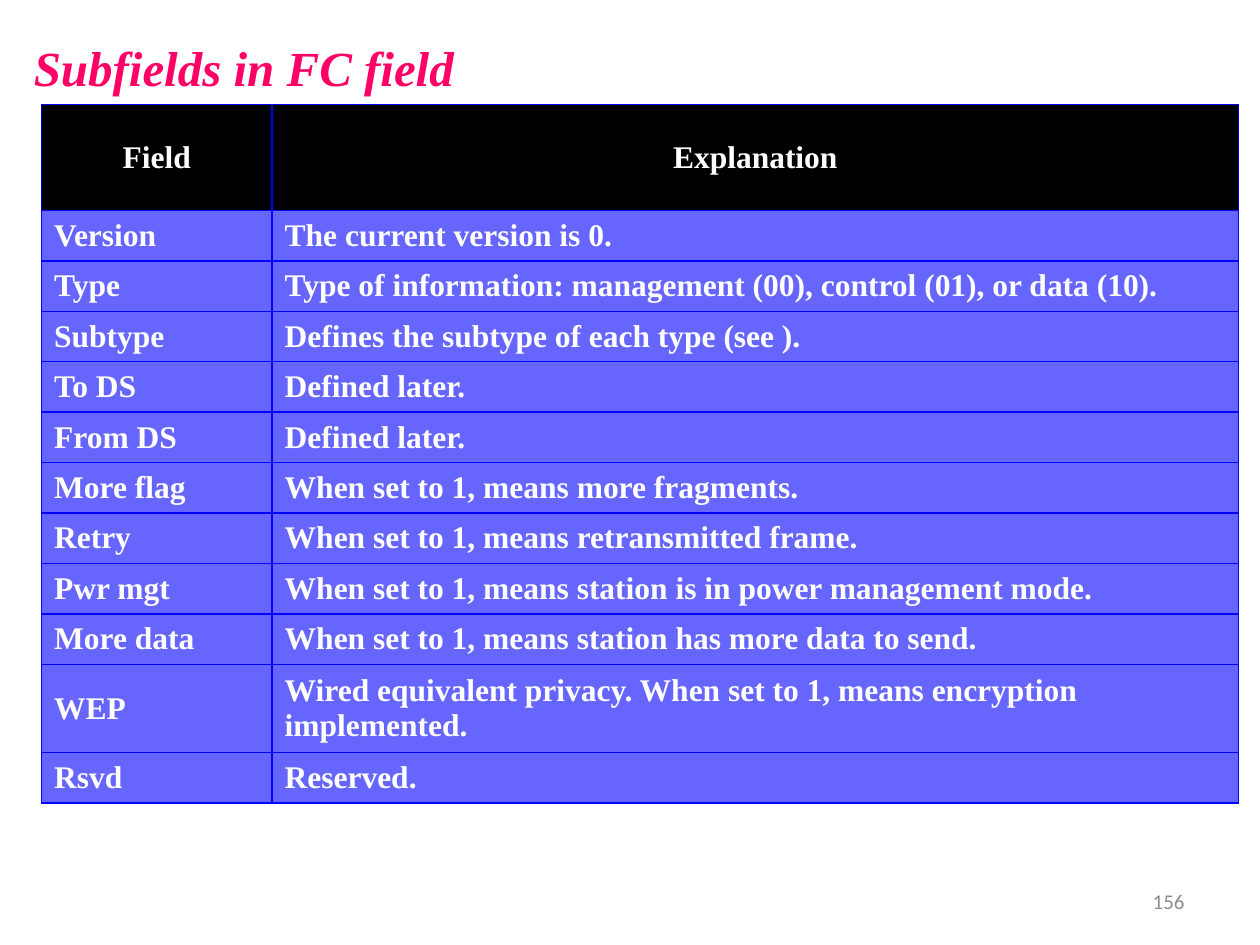
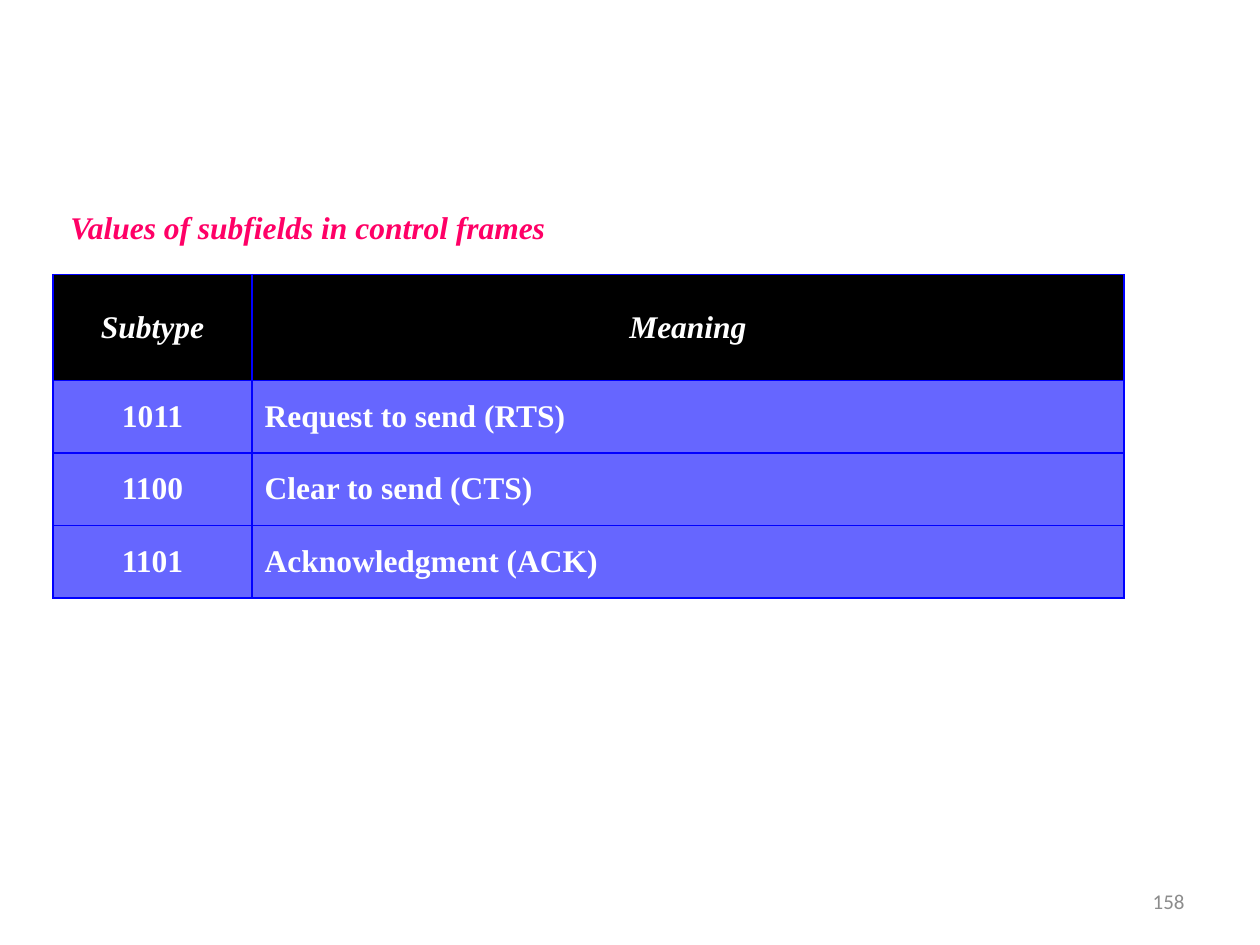
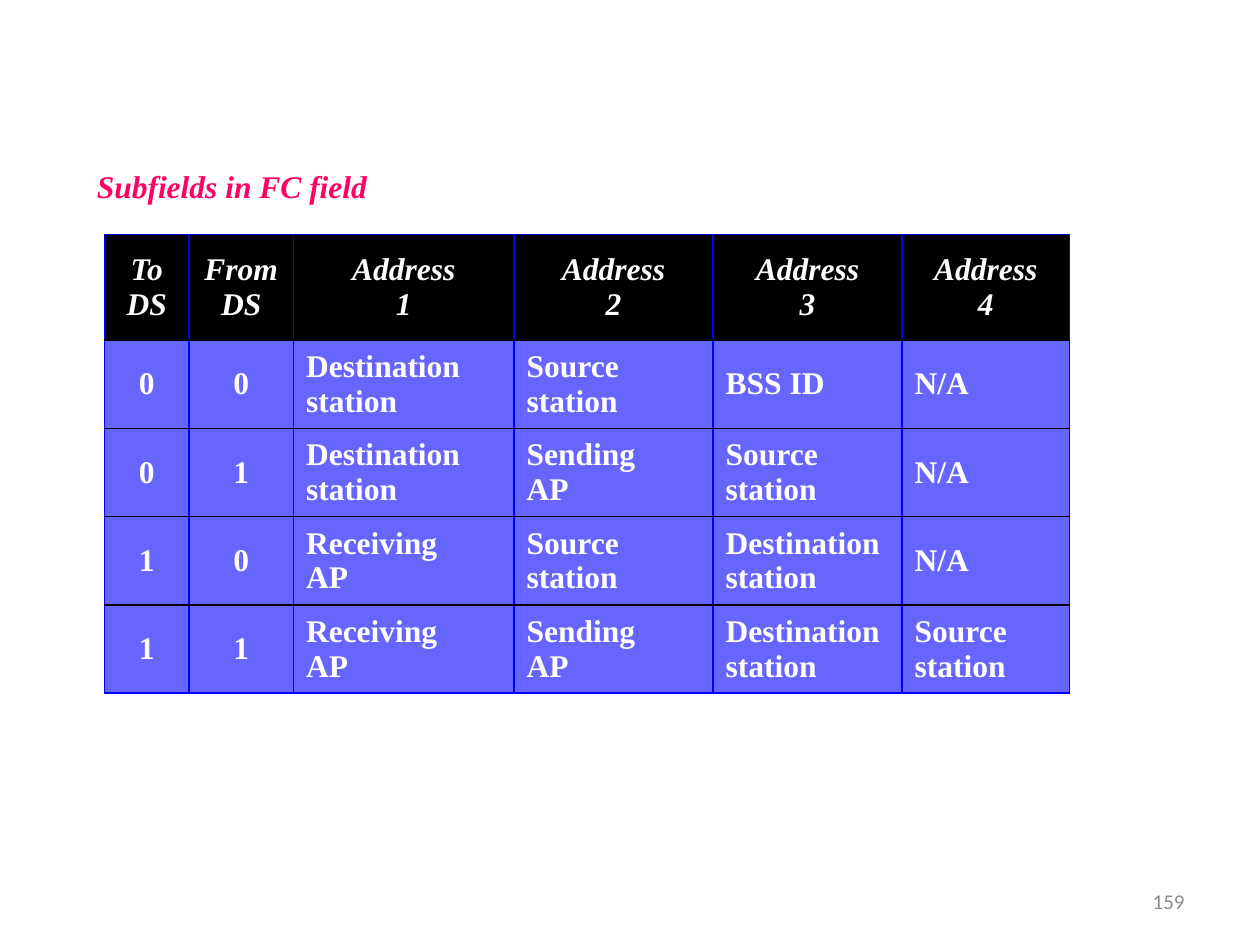
import pptx
import pptx.dml.color
import pptx.enum.text
import pptx.oxml
import pptx.oxml.ns
import pptx.util

Inches = pptx.util.Inches
ALIGN = pptx.enum.text.PP_ALIGN
MIDDLE = pptx.enum.text.MSO_ANCHOR.MIDDLE
PINK, BLACK, WHITE = "FF0066", "000000", "FFFFFF"
BLUE, VIOLET, GREY = "0000FF", "6666FF", "8C8C8C"
HEAD = 0.84


def hue(code):
    return pptx.dml.color.RGBColor.from_string(code)


def write(frame, text, size=18, font="Times New Roman", color=WHITE,
          bold=True, italic=False, align=ALIGN.LEFT):
    para = frame.paragraphs[0]
    para.text = text
    para.alignment = align
    for run in para.runs:
        run.font.name = font
        run.font.size = pptx.util.Pt(size)
        run.font.bold = bold
        run.font.italic = italic
        run.font.color.rgb = hue(color)


# "mid" counts the centred columns; "rule" colours the lines between rows
pages = [
    {"title": "Subfields in FC field", "size": 28, "box": (0.17, 0.25, 3.57, 0.57),
     "at": (0.33, 0.83), "cols": [1.83, 7.67],
     "high": [HEAD] + [0.4] * 9 + [0.7, 0.4],
     "mid": 0, "slant": False, "rule": BLUE, "num": 156,
     "rows": [
         ("Field", "Explanation"),
         ("Version", "The current version is 0."),
         ("Type", "Type of information: management (00), control (01), or data (10)."),
         ("Subtype", "Defines the subtype of each type (see )."),
         ("To DS", "Defined later."),
         ("From DS", "Defined later."),
         ("More flag", "When set to 1, means more fragments."),
         ("Retry", "When set to 1, means retransmitted frame."),
         ("Pwr mgt", "When set to 1, means station is in power management mode."),
         ("More data", "When set to 1, means station has more data to send."),
         ("WEP", "Wired equivalent privacy. When set to 1, means encryption implemented."),
         ("Rsvd", "Reserved."),
     ]},
    {"title": "Values of subfields in control frames", "size": 18,
     "box": (0.46, 1.6, 4.16, 0.4),
     "at": (0.42, 2.18), "cols": [1.58, 6.92], "high": [HEAD] + [0.575] * 3,
     "mid": 1, "slant": True, "rule": BLUE, "num": 158,
     "rows": [
         ("Subtype", "Meaning"),
         ("1011", "Request to send (RTS)"),
         ("1100", "Clear to send (CTS)"),
         ("1101", "Acknowledgment (ACK)"),
     ]},
    {"title": "Subfields in FC field", "size": 18, "box": (0.67, 1.28, 2.37, 0.4),
     "at": (0.83, 1.86), "cols": [0.67, 0.83, 1.75, 1.58, 1.5, 1.33],
     "high": [HEAD] + [0.7] * 4,
     "mid": 2, "slant": True, "rule": BLACK, "num": 159,
     "rows": [
         ("To\nDS", "From\nDS", "Address\n1", "Address\n2", "Address\n3", "Address\n4"),
         ("0", "0", "Destination\nstation", "Source\nstation", "BSS ID", "N/A"),
         ("0", "1", "Destination\nstation", "Sending\nAP", "Source\nstation", "N/A"),
         ("1", "0", "Receiving\nAP", "Source\nstation", "Destination\nstation", "N/A"),
         ("1", "1", "Receiving\nAP", "Sending\nAP", "Destination\nstation",
          "Source\nstation"),
     ]},
]

deck = pptx.Presentation()
deck.slide_width, deck.slide_height = Inches(10), Inches(7.5)

for page in pages:
    slide = deck.slides.add_slide(deck.slide_layouts[6])

    title = slide.shapes.add_textbox(*map(Inches, page["box"])).text_frame
    title.word_wrap = False
    title.auto_size = pptx.enum.text.MSO_AUTO_SIZE.SHAPE_TO_FIT_TEXT
    write(title, page["title"], size=page["size"], color=PINK, italic=True)

    rows, cols, high = page["rows"], page["cols"], page["high"]
    size = (sum(cols), sum(high))
    grid = slide.shapes.add_table(
        len(rows), len(cols), *map(Inches, page["at"] + size)).table
    grid.horz_banding = False
    for col, width in zip(grid.columns, cols):
        col.width = Inches(width)
    for row, height in zip(grid.rows, high):
        row.height = Inches(height)

    for r, row in enumerate(rows):
        head = r == 0
        top = BLUE if head else page["rule"]
        base = BLUE if r == len(rows) - 1 else page["rule"]
        for c, text in enumerate(row):
            cell = grid.cell(r, c)
            cell.vertical_anchor = MIDDLE
            write(cell.text_frame, text, italic=head and page["slant"],
                  align=ALIGN.CENTER if head or c < page["mid"] else ALIGN.LEFT)
            props = cell._tc.get_or_add_tcPr()
            for side, color in zip("LRTB", (BLUE, BLUE, top, base)):
                props.append(pptx.oxml.parse_xml(
                    f'<a:ln{side} {pptx.oxml.ns.nsdecls("a")} w="12700"><a:solidFill>'
                    f'<a:srgbClr val="{color}"/></a:solidFill></a:ln{side}>'))
            cell.fill.solid()
            cell.fill.fore_color.rgb = hue(BLACK if head else VIOLET)

    foot = slide.shapes.add_textbox(*map(Inches, (7.17, 6.95, 2.33, 0.4))).text_frame
    foot.word_wrap = True
    foot.vertical_anchor = MIDDLE
    write(foot, str(page["num"]), size=12, font="Calibri", color=GREY,
          bold=False, align=ALIGN.RIGHT)

deck.save("out.pptx")
